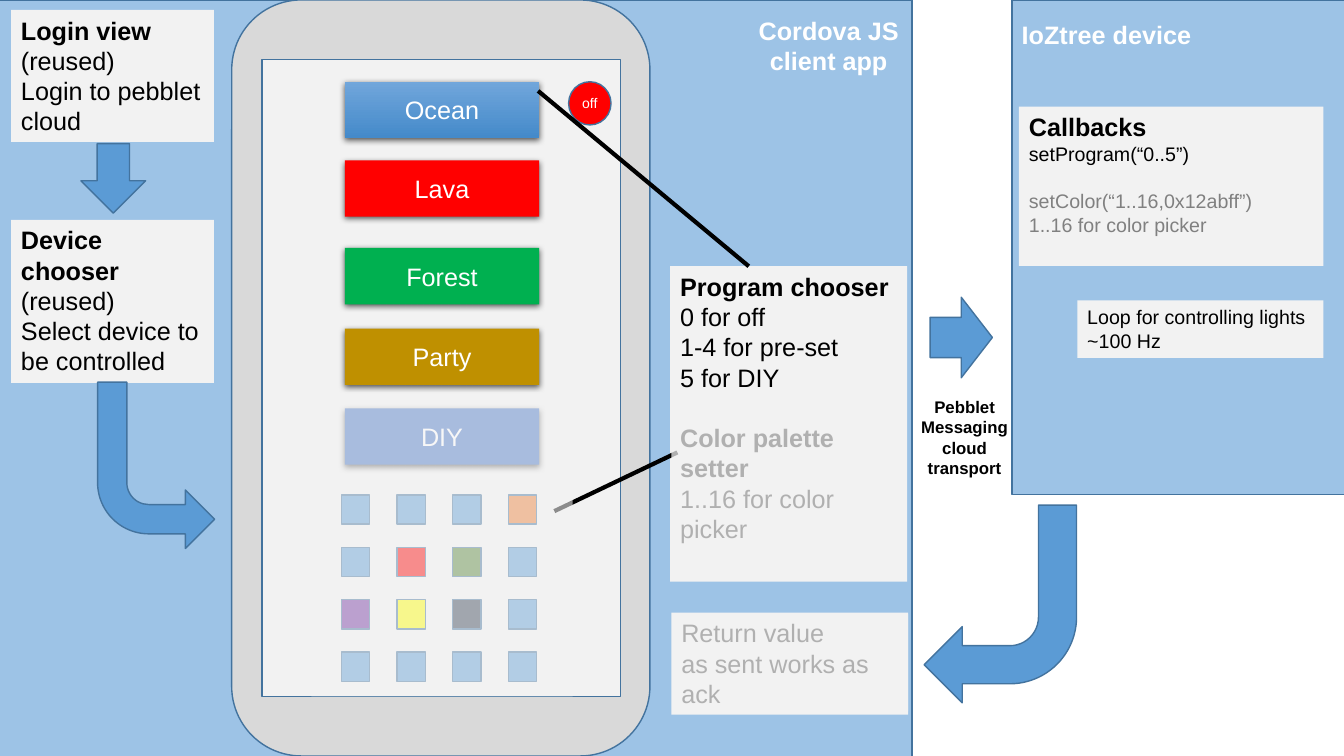
from lxml import etree
from pptx import Presentation
from pptx.dml.color import RGBColor
from pptx.enum.shapes import MSO_CONNECTOR, MSO_SHAPE
from pptx.enum.text import MSO_ANCHOR, MSO_AUTO_SIZE, PP_ALIGN
from pptx.oxml.ns import qn
from pptx.util import Cm, Pt

RECTANGLE, ROUNDED, OVAL = MSO_SHAPE.RECTANGLE, MSO_SHAPE.ROUNDED_RECTANGLE, MSO_SHAPE.OVAL
RIGHT_ARROW, BENT_ARROW = MSO_SHAPE.RIGHT_ARROW, MSO_SHAPE.BENT_ARROW
STRAIGHT = MSO_CONNECTOR.STRAIGHT
FIT_TEXT = MSO_AUTO_SIZE.SHAPE_TO_FIT_TEXT
LEFT, CENTER = PP_ALIGN.LEFT, PP_ALIGN.CENTER
TOP, MIDDLE = MSO_ANCHOR.TOP, MSO_ANCHOR.MIDDLE

BLACK = RGBColor(0x00, 0x00, 0x00)
WHITE = RGBColor(0xFF, 0xFF, 0xFF)
GRAY = RGBColor(0x80, 0x80, 0x80)
PANEL_BLUE = RGBColor(0x9D, 0xC3, 0xE6)
BLUE = RGBColor(0x5B, 0x9B, 0xD5)
OUTLINE = RGBColor(0x43, 0x73, 0x9E)
PHONE_GRAY = RGBColor(0xD9, 0xD9, 0xD9)
PALE = RGBColor(0xF2, 0xF2, 0xF2)
OCEAN_TOP = RGBColor(0x71, 0xA6, 0xDB)
OCEAN_BOTTOM = RGBColor(0x44, 0x8A, 0xCA)
RED = RGBColor(0xFF, 0x00, 0x00)
GREEN = RGBColor(0x00, 0xB0, 0x50)
GOLD = RGBColor(0xBF, 0x90, 0x00)
INDIGO = RGBColor(0x44, 0x72, 0xC4)
ORANGE = RGBColor(0xED, 0x7D, 0x31)
OLIVE = RGBColor(0x54, 0x82, 0x35)
PURPLE = RGBColor(0x70, 0x30, 0xA0)
YELLOW = RGBColor(0xFF, 0xFF, 0x00)
SLATE = RGBColor(0x33, 0x3F, 0x50)

PLAIN = {"size": Pt(18), "name": "Arial", "bold": False}
BOLD = {**PLAIN, "bold": True}
SMALL = {**PLAIN, "size": Pt(14)}
CAPTION = {**BOLD, "size": Pt(12)}
TINY = {**PLAIN, "size": Pt(10)}


class Diagram:
    def __init__(self, slide):
        self.slide = slide

    def shape(self, kind, area, fill, outlined=True, rotation=0):
        shape = self.slide.shapes.add_shape(kind, *map(Cm, area))
        shape.shadow.inherit = False
        shape.rotation = rotation
        shape.fill.solid()
        shape.fill.fore_color.rgb = fill
        if outlined:
            shape.line.color.rgb = OUTLINE
            shape.line.width = Pt(1)
        else:
            shape.line.fill.background()
        return shape

    def fill_text(self, shape, paragraphs, color=BLACK, align=LEFT, anchor=TOP):
        """Each paragraph is (runs, format), and each run is (text, font format[, color])."""
        frame = shape.text_frame
        frame.word_wrap = True
        frame.vertical_anchor = anchor
        for index, (runs, layout) in enumerate(paragraphs):
            paragraph = frame.add_paragraph() if index else frame.paragraphs[0]
            for name, value in {"alignment": align, **layout}.items():
                setattr(paragraph, name, value)
            for text, style, *own_color in runs:
                run = paragraph.add_run()
                run.text = text
                for name, value in style.items():
                    setattr(run.font, name, value)
                run.font.color.rgb = own_color[0] if own_color else color
        return frame

    def card(self, area, paragraphs):
        self.fill_text(self.shape(RECTANGLE, area, PALE, outlined=False), paragraphs)

    def label(self, area, paragraphs, color, align=LEFT):
        box = self.slide.shapes.add_textbox(*map(Cm, area))
        frame = self.fill_text(box, paragraphs, color, align)
        frame.word_wrap = False
        frame.auto_size = FIT_TEXT

    def button(self, top, text, fill):
        button = self.shape(RECTANGLE, (8.69, top, 4.9, 1.42), fill, outlined=False)
        effects = button._element.spPr.find(qn("a:effectLst"))
        shadow = etree.SubElement(effects, qn("a:outerShdw"), blurRad=str(Pt(4.5)),
                                  dist=str(Pt(1.5)), dir="5400000", rotWithShape="0")
        color = etree.SubElement(shadow, qn("a:srgbClr"), val=str(BLACK))
        etree.SubElement(color, qn("a:alpha"), val="63000")
        self.fill_text(button, [line(text)], WHITE, CENTER, MIDDLE)
        return button

    def veil(self, area, opacity):
        """Fade what lies below with a translucent pale rectangle."""
        veil = self.shape(RECTANGLE, area, PALE, outlined=False)
        color = veil._element.spPr.find(qn("a:solidFill"))[0]
        etree.SubElement(color, qn("a:alpha"), val=str(opacity * 1000))

    def pointer(self, start, end):
        pointer = self.slide.shapes.add_connector(STRAIGHT, *map(Cm, start + end))
        pointer.line.color.rgb = BLACK
        pointer.line.width = Pt(3)
        etree.SubElement(pointer._element.spPr, qn("a:effectLst"))


def line(text, style=PLAIN, *color, **layout):
    """A paragraph of one run."""
    return [(text, style, *color)], layout


def draw_phone(diagram):
    diagram.shape(ROUNDED, (5.84, 0, 10.54, 19.05), PHONE_GRAY)
    diagram.shape(RECTANGLE, (6.6, 1.5, 9.04, 16.05), PALE)

    ocean = diagram.button(2.06, "Ocean", OCEAN_TOP)
    ocean.fill.gradient()
    ocean.fill.gradient_angle = 270
    for stop, color in zip(ocean.fill.gradient_stops, (OCEAN_TOP, OCEAN_BOTTOM)):
        stop.color.rgb = color
    for top, text, fill in ((4.04, "Lava", RED), (6.25, "Forest", GREEN),
                            (8.28, "Party", GOLD), (10.29, "DIY", INDIGO)):
        diagram.button(top, text, fill)

    palette = ((BLUE, BLUE, BLUE, ORANGE), (BLUE, RED, OLIVE, BLUE),
               (PURPLE, YELLOW, SLATE, BLUE), (BLUE, BLUE, BLUE, BLUE))
    for row, colors in enumerate(palette):
        for column, color in enumerate(colors):
            diagram.shape(RECTANGLE, (8.61 + 1.4 * column, 12.47 + 1.32 * row, 0.71, 0.74), color)

    off = diagram.shape(OVAL, (14.33, 2.06, 1.07, 1.09), RED)
    frame = diagram.fill_text(off, [line("off", TINY)], WHITE, CENTER, MIDDLE)
    frame.margin_left = frame.margin_right = 0


def draw_cards(diagram):
    diagram.card((16.89, 6.71, 5.97, 7.95), [
        line("Program chooser", BOLD), line("0 for off"), line("1-4 for pre-set"),
        line("5 for DIY"), line("Color palette setter", BOLD, space_before=Pt(21.6)),
        line("1..16 for color picker")])
    diagram.card((25.68, 2.69, 7.67, 4.01), [
        line("Callbacks", BOLD), line("setProgram(“0..5”)", SMALL),
        line("setColor(“1..16,0x12abff”)", SMALL, GRAY, space_before=Pt(16.8)),
        line("1..16 for color picker", SMALL, GRAY)])
    diagram.card((16.92, 15.44, 5.97, 2.57), [
        line("Return value"), line("as sent works as ack")])
    for top, height, title, detail in (
            (0.25, 3.33, "Login view ", "Login to pebblet cloud"),
            (5.54, 4.11, "Device chooser ", "Select device to be controlled")):
        diagram.card((0.28, top, 5.11, height), [
            ([(title, BOLD), ("(reused)", PLAIN)], {}), line(detail)])
    diagram.card((27.15, 7.57, 6.2, 1.45), [
        line("Loop for controlling lights", SMALL), line("~100 Hz", SMALL)])


def draw_flow(diagram):
    diagram.shape(BENT_ARROW, (23.29, 12.73, 3.84, 4.98), BLUE, rotation=180)
    diagram.shape(RIGHT_ARROW, (23.44, 7.49, 1.57, 2.03), BLUE)
    diagram.shape(RIGHT_ARROW, (1.98, 3.68, 1.75, 1.63), BLUE, rotation=90)
    to_phone = diagram.shape(BENT_ARROW, (2.46, 9.63, 2.95, 4.19), BLUE, rotation=180)
    to_phone._element.spPr.find(qn("a:xfrm")).set("flipH", "1")
    diagram.pointer((18.87, 6.71), (13.56, 2.29))
    diagram.pointer((17.07, 11.4), (13.97, 12.88))


def main():
    presentation = Presentation()
    presentation.slide_width, presentation.slide_height = Cm(33.87), Cm(19.05)
    diagram = Diagram(presentation.slides.add_slide(presentation.slide_layouts[6]))

    diagram.shape(RECTANGLE, (-0.05, 0, 23.04, 19.13), PANEL_BLUE)
    diagram.shape(RECTANGLE, (25.5, 0, 8.38, 12.47), PANEL_BLUE)
    draw_phone(diagram)
    draw_cards(diagram)
    draw_flow(diagram)

    diagram.label((18.87, 0.25, 4.24, 1.8), [
        line("Cordova JS", BOLD), line("client app", BOLD, alignment=CENTER)], WHITE)
    diagram.label((25.5, 0.36, 5.03, 1.02), [line("IoZtree device", BOLD)], WHITE)
    transport = ("Pebblet", "Messaging", "cloud", "transport")
    diagram.label((22.94, 9.88, 2.74, 2.31),
                  [line(text, CAPTION) for text in transport], BLACK, CENTER)

    diagram.veil((7.85, 9.88, 6.58, 7.67), 58)
    diagram.veil((16.92, 10.29, 5.82, 3.53), 73)
    diagram.veil((17.07, 15.47, 5.82, 2.46), 73)
    presentation.save("out.pptx")


if __name__ == "__main__":
    main()
